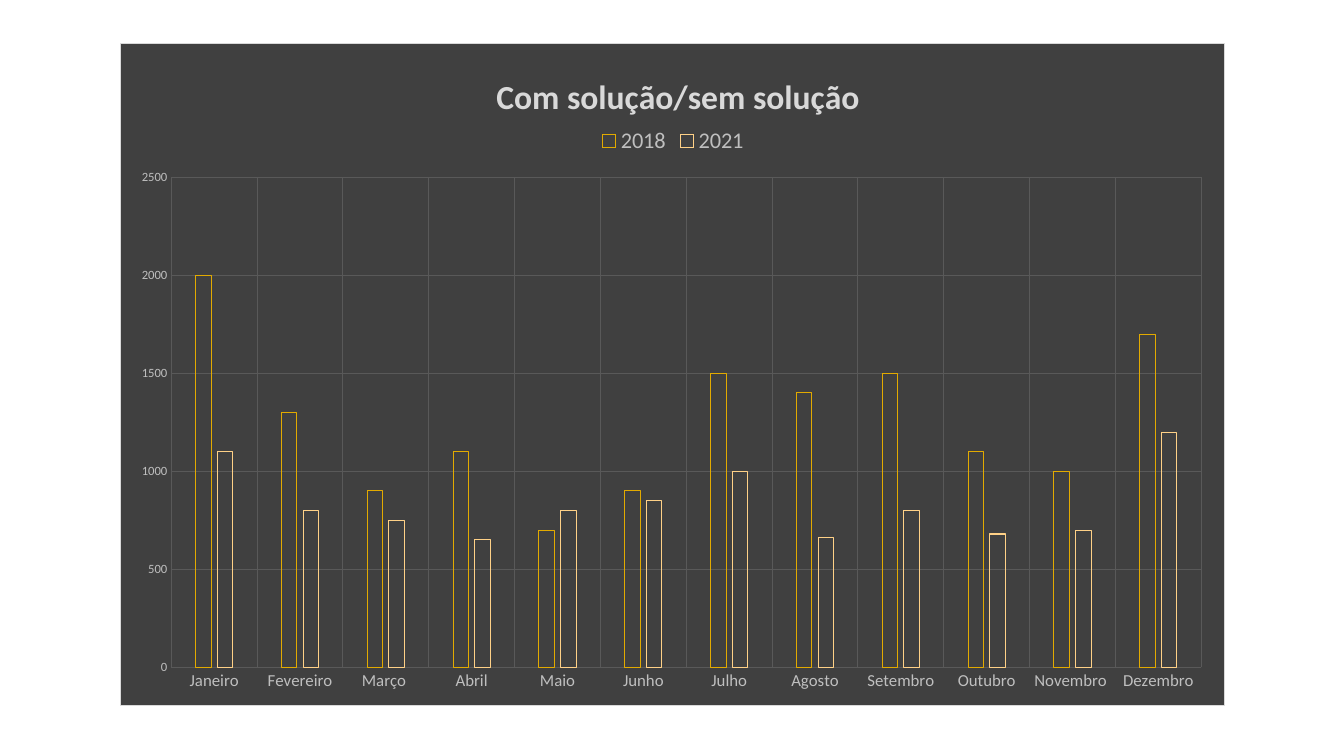
"""Build a slide with a dark column chart comparing monthly values of 2018 and 2021."""
from lxml import etree
from pptx import Presentation
from pptx.chart.data import CategoryChartData
from pptx.dml.color import RGBColor
from pptx.enum.chart import XL_CHART_TYPE, XL_LEGEND_POSITION, XL_TICK_MARK
from pptx.oxml import parse_xml
from pptx.oxml.ns import nsdecls, qn
from pptx.util import Inches, Pt

COLUMNS = XL_CHART_TYPE.COLUMN_CLUSTERED
TOP = XL_LEGEND_POSITION.TOP
NO_TICK = XL_TICK_MARK.NONE
MONTHS = ["Janeiro", "Fevereiro", "Março ", "Abril", "Maio", "Junho", "Julho",
          "Agosto", "Setembro", "Outubro", "Novembro ", "Dezembro"]
SERIES = {
    "2018": ("E2AA00", [2000, 1300, 900, 1100, 700, 900, 1500, 1400, 1500, 1100, 1000, 1700]),
    "2021": ("FFD187", [1100, 800, 750, 650, 800, 850, 1000, 660, 800, 680, 700, 1200]),
}


def style(target, hex_color, **values):
    """Set the colour of a font or line and its other format values."""
    color = RGBColor.from_string(hex_color)
    target.color.rgb = color
    for name, value in values.items():
        setattr(target, name, value)


def place(parent, index, **edges):
    """Give a chart part a manual layout in fractions of the chart."""
    for old in parent.findall(qn("c:layout")):
        parent.remove(old)
    layout = etree.Element(qn("c:layout"))
    manual = etree.SubElement(layout, qn("c:manualLayout"))
    if "w" in edges:
        etree.SubElement(manual, qn("c:layoutTarget")).set("val", "inner")
    for name in ("x", "y"):
        etree.SubElement(manual, qn(f"c:{name}Mode")).set("val", "edge")
    for name, value in edges.items():
        etree.SubElement(manual, qn(f"c:{name}")).set("val", str(value))
    parent.insert(index, layout)


prs = Presentation()
prs.slide_width, prs.slide_height = Inches(13.33), Inches(7.5)
s = prs.slides.add_slide(prs.slide_layouts[6])

data = CategoryChartData()
data.categories = MONTHS
for name, (color, values) in SERIES.items():
    data.add_series(name, values)
chart = s.shapes.add_chart(
    COLUMNS, Inches(1.19), Inches(0.43), Inches(10.96), Inches(6.57), data).chart
style(chart.font, "000000", name="Calibri", size=Pt(10))

chart.has_title = True
tf = chart.chart_title.text_frame
r = tf.paragraphs[0].add_run()
r.text = "Com solução/sem solução"
style(r.font, "D9D9D9", name="Calibri", size=Pt(24), bold=True)
chart.chart_title.include_in_layout = False

chart.has_legend = True
chart.legend.position = TOP
chart.legend.include_in_layout = False
style(chart.legend.font, "BFBFBF", name="Calibri", size=Pt(16))

for axis, size in ((chart.category_axis, 12), (chart.value_axis, 9)):
    style(axis.tick_labels.font, "BFBFBF", name="Calibri", size=Pt(size))
    axis.major_tick_mark = axis.minor_tick_mark = NO_TICK
    axis.format.line.fill.background()
    axis.has_major_gridlines = True
    style(axis.major_gridlines.format.line, "595959", width=Pt(0.75))
chart.value_axis.minimum_scale = 0
chart.value_axis.maximum_scale = 2500
chart.value_axis.major_unit = 500

plot = chart.plots[0]
plot.gap_width, plot.overlap = 315, -40
plot.vary_by_categories = False
for series in plot.series:
    series.format.fill.background()
    style(series.format.line, SERIES[series.name][0], width=Pt(0.75))

body = chart.element.find(qn("c:chart"))
place(body.find(qn("c:title")), 1, x=0.335, y=0.036)
place(body.find(qn("c:legend")), 1, x=0.43, y=0.12)
place(body.find(qn("c:plotArea")), 0, x=0.046, y=0.202, w=0.933, h=0.741)
body.addnext(parse_xml(
    f'<c:spPr {nsdecls("c", "a")}>'
    '<a:solidFill><a:srgbClr val="404040"/></a:solidFill>'
    f'<a:ln w="{Pt(0.75)}"><a:solidFill><a:srgbClr val="D9D9D9"/></a:solidFill></a:ln>'
    '</c:spPr>'))

prs.save("out.pptx")
